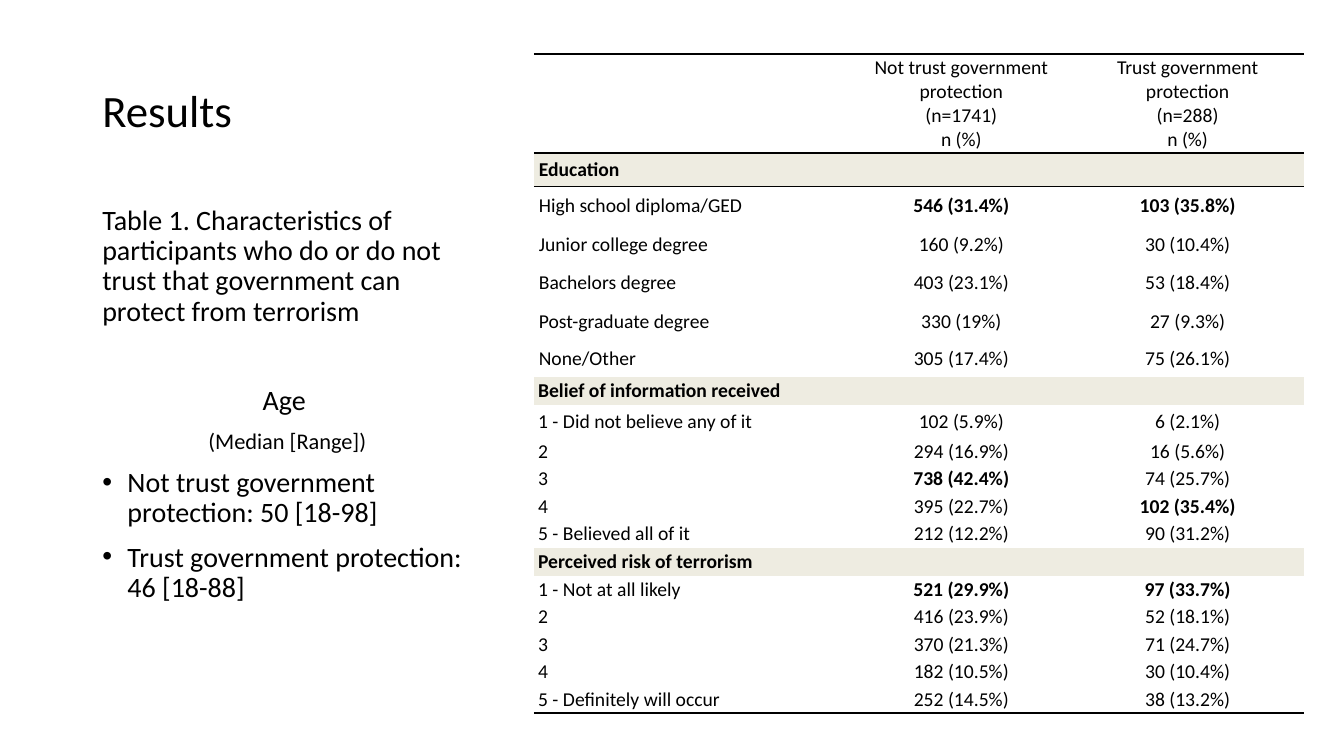
from lxml.etree import SubElement
from pptx import Presentation
from pptx.dml.color import RGBColor
from pptx.enum.text import MSO_ANCHOR as ANCHOR, PP_ALIGN as ALIGN
from pptx.oxml.ns import qn
from pptx.util import Pt

NO_STYLE = "{2D5ABB26-0587-4C30-8999-92F81FD0307C}"
COLUMNS = [226.8, 157, 166.3]
HEADER = [
    "",
    "Not trust government protection\v(n=1741)\nn (%)",
    "Trust government protection\n(n=288)\nn (%)",
]
EDUCATION = [
    ("Education", "", ""),
    ("High school diploma/GED", "546 (31.4%)", "103 (35.8%)"),
    ("Junior college degree", "160 (9.2%)", "30 (10.4%)"),
    ("Bachelors degree", "403 (23.1%)", "53 (18.4%)"),
    ("Post-graduate degree", "330 (19%)", "27 (9.3%)"),
    ("None/Other", "305 (17.4%)", "75 (26.1%)"),
]
BELIEF = [
    ("Belief of information received", "", ""),
    ("1 - Did not believe any of it", "102 (5.9%)", "6 (2.1%)"),
    ("2", "294 (16.9%)", "16 (5.6%)"),
    ("3", "738 (42.4%)", "74 (25.7%)"),
    ("4", "395 (22.7%)", "102 (35.4%)"),
    ("5 - Believed all of it", "212 (12.2%)", "90 (31.2%)"),
]
RISK = [
    ("Perceived risk of terrorism", "", ""),
    ("1 - Not at all likely", "521 (29.9%)", "97 (33.7%)"),
    ("2", "416 (23.9%)", "52 (18.1%)"),
    ("3", "370 (21.3%)", "71 (24.7%)"),
    ("4", "182 (10.5%)", "30 (10.4%)"),
    ("5 - Definitely will occur", "252 (14.5%)", "38 (13.2%)"),
]
ROWS = [HEADER] + EDUCATION + BELIEF + RISK
HEIGHTS = [70.7, 24] + [27.5] * 4 + [26, 19.8, 23.7] + [19.7] * 10
LARGEST = {"546 (31.4%)", "103 (35.8%)", "738 (42.4%)", "102 (35.4%)",
           "521 (29.9%)", "97 (33.7%)"}
CAPTION = ("Table 1. Characteristics of participants who do or do not trust "
           "that government can protect from terrorism")


def rgb(value):
    return RGBColor.from_string(value)


class Deck:
    font = "Calibri"
    ink = "000000"
    band = "EEECE1"

    def __init__(self, slide):
        self.slide = slide

    def format_runs(self, p, size, bold=False):
        for r in p.runs:
            r.font.name = self.font
            r.font.size = Pt(size)
            r.font.bold = bold
            r.font.color.rgb = rgb(self.ink)

    def text_box(self, left, top, width, height, anchor=ANCHOR.TOP):
        sp = self.slide.shapes.add_textbox(Pt(left), Pt(top), Pt(width), Pt(height))
        tf = sp.text_frame
        tf.word_wrap = True
        tf.vertical_anchor = anchor
        return tf

    def paragraph(self, tf, text, size=20, before=10, align=ALIGN.LEFT, bullet=False):
        """Fill the first paragraph if it is empty, otherwise add one."""
        p = tf.add_paragraph() if tf.text else tf.paragraphs[0]
        p.text = text
        p.alignment = align
        p.line_spacing = 0.9
        p.space_before = Pt(before)
        self.format_runs(p, size)
        if bullet:
            pPr = p._p.get_or_add_pPr()
            pPr.set("marL", str(Pt(18)))
            pPr.set("indent", str(-Pt(18)))
            SubElement(pPr, qn("a:buFont"), typeface="Arial")
            SubElement(pPr, qn("a:buChar"), char="•")

    def border(self, cell, side, width):
        ln = SubElement(cell._tc.get_or_add_tcPr(), qn("a:ln" + side), w=str(Pt(width)))
        fill = SubElement(ln, qn("a:solidFill"))
        SubElement(fill, qn("a:srgbClr"), val=self.ink)

    def cell(self, cell, text, align, size=14, bold=False, inset=(3, 1.3)):
        cell.text = text
        cell.vertical_anchor = ANCHOR.MIDDLE
        cell.margin_left = cell.margin_right = Pt(inset[0])
        cell.margin_top = cell.margin_bottom = Pt(inset[1])
        for p in cell.text_frame.paragraphs:
            p.alignment = align
            self.format_runs(p, size, bold)
            if not p.runs:
                SubElement(p._p, qn("a:endParaRPr"), sz=str(size * 100))

    def table(self, left, top, columns, heights, rows):
        frame = self.slide.shapes.add_table(len(rows), len(columns), Pt(left), Pt(top),
                                            Pt(sum(columns)), Pt(sum(heights)))
        table = frame.table
        table.first_row = table.horz_banding = False
        table._tbl.tblPr.find(qn("a:tableStyleId")).text = NO_STYLE
        for column, width in zip(table.columns, columns):
            column.width = Pt(width)
        last = len(rows) - 1
        for i, (values, height) in enumerate(zip(rows, heights)):
            table.rows[i].height = Pt(height)
            section = i > 0 and not values[1]
            inset = (3.5, 3.4) if values in EDUCATION else (3, 1.3)
            for j, value in enumerate(values):
                cell = table.cell(i, j)
                align = ALIGN.CENTER if j else ALIGN.LEFT
                self.cell(cell, value, align, bold=section or value in LARGEST, inset=inset)
                if i < 2:
                    self.border(cell, "T", 1 if i else 2)
                if i in (0, last):
                    self.border(cell, "B", 2 if i else 1)
                if section:
                    cell.fill.solid()
                    cell.fill.fore_color.rgb = rgb(self.band)
                else:
                    cell.fill.background()


def main():
    prs = Presentation()
    prs.slide_width, prs.slide_height = Pt(960), Pt(540)
    deck = Deck(prs.slides.add_slide(prs.slide_layouts[6]))

    title = deck.text_box(66, 28.75, 828, 104.4, ANCHOR.MIDDLE)
    deck.paragraph(title, "Results", 32, before=0)

    body = deck.text_box(66, 143.75, 278.6, 342.6)
    deck.paragraph(body, CAPTION)
    deck.paragraph(body, "Age ", before=42, align=ALIGN.CENTER)
    deck.paragraph(body, "(Median [Range])", 16, align=ALIGN.CENTER)
    deck.paragraph(body, "Not trust government protection: 50 [18-98]", bullet=True)
    deck.paragraph(body, "Trust government protection: 46 [18-88]", bullet=True)

    deck.table(381.4, 38.6, COLUMNS, HEIGHTS, ROWS)
    prs.save("out.pptx")


if __name__ == "__main__":
    main()
